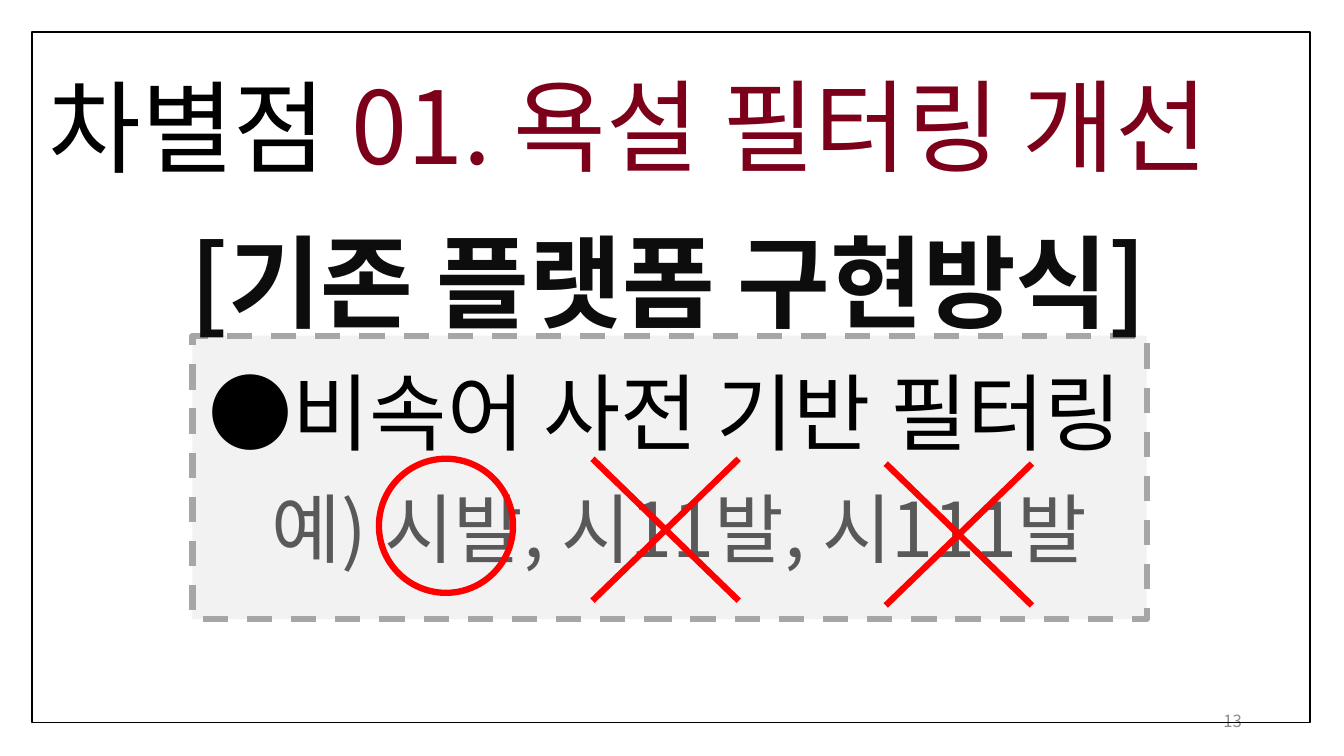
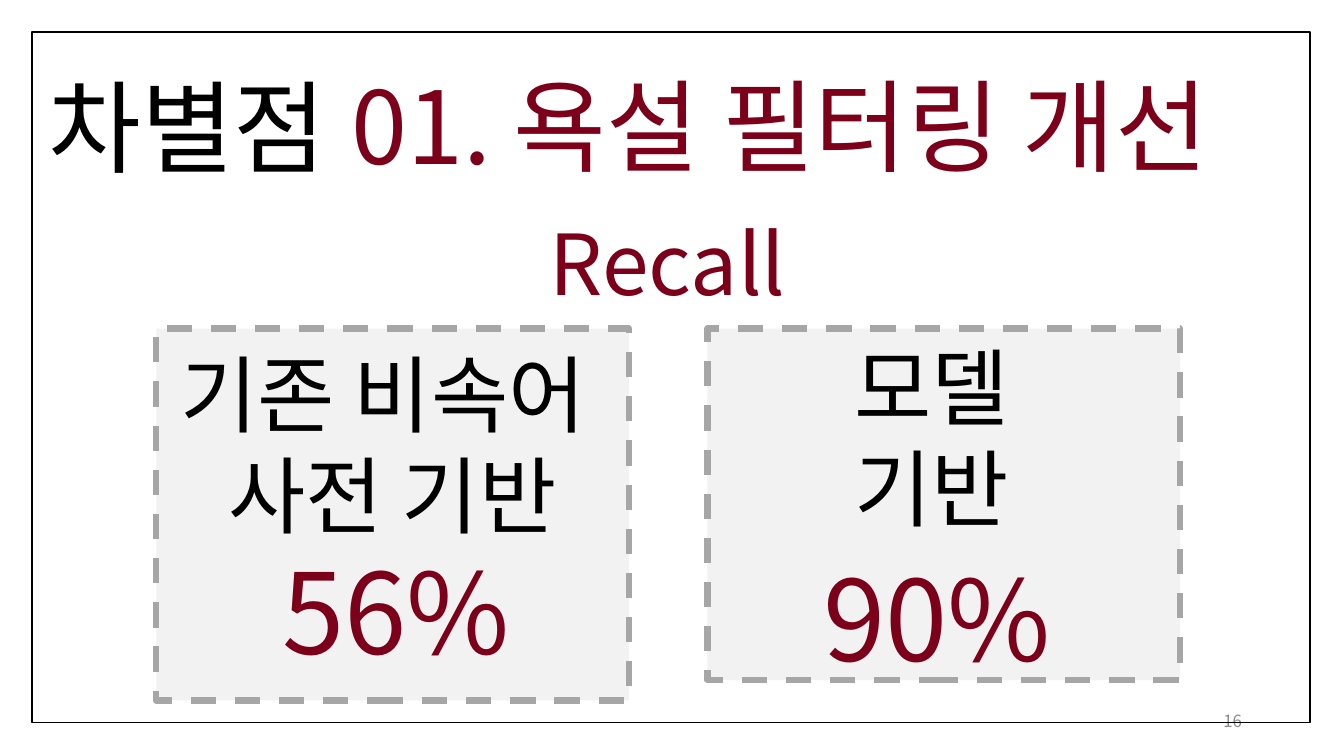
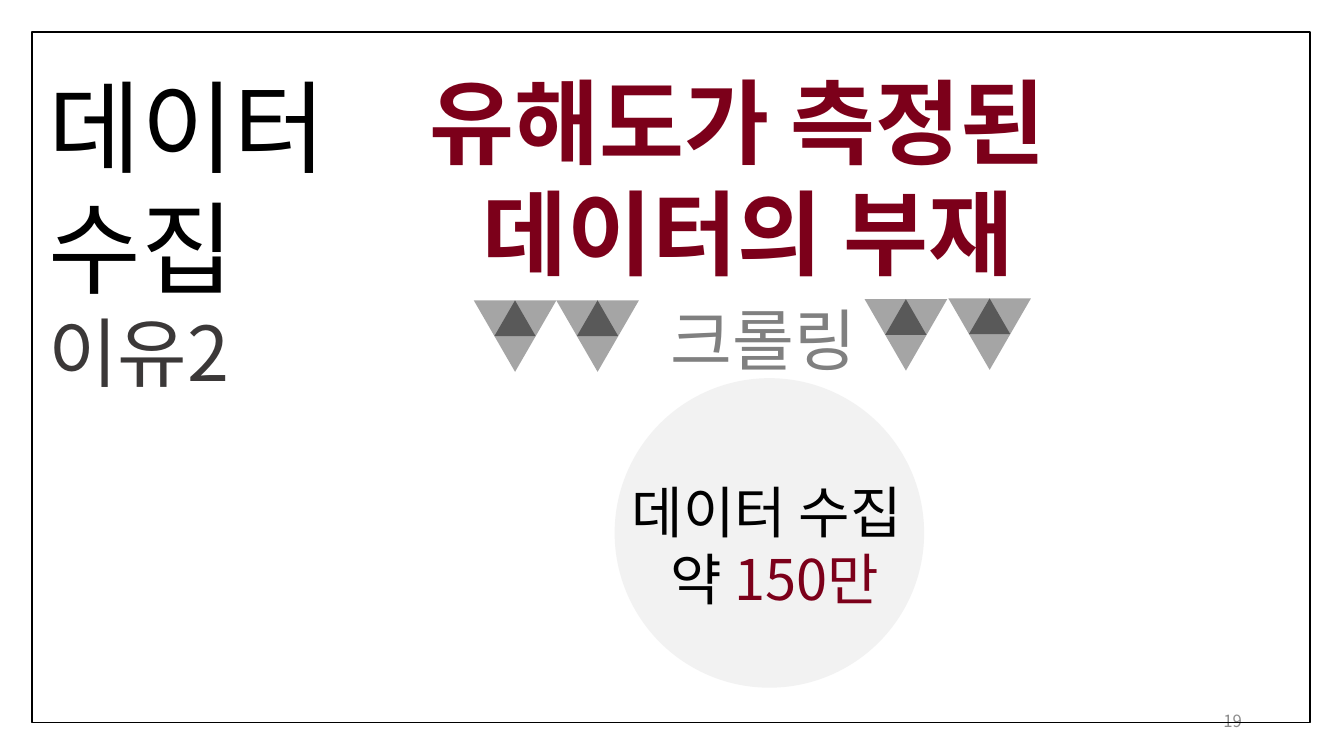
from lxml import etree
from pptx import Presentation
from pptx.dml.color import RGBColor
from pptx.enum.dml import MSO_LINE_DASH_STYLE as DASH
from pptx.enum.shapes import MSO_SHAPE as SHAPE
from pptx.enum.text import MSO_ANCHOR as ANCHOR, PP_ALIGN as ALIGN
from pptx.oxml.ns import qn
from pptx.util import Cm, Pt

FONT = "Noto Sans CJK KR"
COLORS = {
    "black": "000000",
    "ink": "0D0D0D",
    "wine": "7C001A",
    "charcoal": "3B3838",
    "dark": "595959",
    "grey": "808080",
    "number": "8C8C8C",
    "dash": "A6A6A6",
    "mark": "A5A5A5",
    "panel": "F2F2F2",
    "red": "FF0000",
}


def write(page, text, at, size=72, color="black", bold=False, align=ALIGN.LEFT,
          anchor=ANCHOR.TOP):
    box = page.shapes.add_textbox(*map(Cm, at))
    frame = box.text_frame
    frame.word_wrap = True
    frame.vertical_anchor = anchor
    for index, line in enumerate([text] if isinstance(text, str) else text):
        para = frame.paragraphs[0] if index == 0 else frame.add_paragraph()
        para.alignment = align
        spans = [(line, {})] if isinstance(line, str) else line
        para.line_spacing = Pt(1.2 * spans[0][1].get("size", size))
        for words, changes in spans:
            span = para.add_run()
            span.text = words
            span.font.size = Pt(changes.get("size", size))
            span.font.bold = bold
            span.font.color.rgb = RGBColor.from_string(COLORS[changes.get("color", color)])
            span.font.name = FONT
            etree.SubElement(span.font._element, qn("a:ea"), typeface=FONT)
    return box


def draw(page, kind, at, fill=None, line=None, width=4.5, dash=None):
    shape = page.shapes.add_shape(kind, *map(Cm, at))
    shape.shadow.inherit = False
    if fill:
        shape.fill.solid()
        shape.fill.fore_color.rgb = RGBColor.from_string(COLORS[fill])
    else:
        shape.fill.background()
    if line:
        shape.line.color.rgb = RGBColor.from_string(COLORS[line])
        shape.line.width = Pt(width)
        shape.line.dash_style = dash
    else:
        shape.line.fill.background()
    return shape


deck = Presentation()
deck.slide_width, deck.slide_height = Cm(33.87), Cm(19.05)
PANEL = {"fill": "panel", "line": "dash", "dash": DASH.DASH}

pages = []
for number in ("13", "16", "19"):
    page = deck.slides.add_slide(deck.slide_layouts[6])
    write(page, number, (23.93, 17.65, 7.62, 1.02), size=12, color="number",
          align=ALIGN.RIGHT, anchor=ANCHOR.MIDDLE)
    draw(page, SHAPE.RECTANGLE, (0.81, 0.81, 32.21, 17.4), line="black", width=1)
    pages.append(page)
method, recall, collection = pages

for page in (method, recall):
    write(page, "차별점", (0.97, 1.5, 8.97, 3.33))
    write(page, "01. 욕설 필터링 개선", (8.61, 1.47, 25.76, 3.33), color="wine")

draw(method, SHAPE.RECTANGLE, (4.85, 8.46, 24.05, 7.14), **PANEL)
write(method, "●비속어 사전 기반 필터링", (1.6, 8.97, 30.33, 2.82), size=60,
      align=ALIGN.CENTER)
write(method, "예) 시발, 시11발, 시111발", (1.96, 12.01, 30.33, 2.57), size=54,
      color="dark", align=ALIGN.CENTER)
write(method, "[기존 플랫폼 구현방식]", (1.68, 5.41, 30.33, 3.33), color="ink",
      bold=True, align=ALIGN.CENTER)
draw(method, SHAPE.FLOWCHART_CONNECTOR, (9.55, 11.56, 3.38, 3.38), line="red")
for left, top in ((13.23, 9.91), (20.62, 10.03)):
    cross = draw(method, SHAPE.MATH_MULTIPLY, (left, top, 7.09, 6.88), fill="red")
    cross.adjustments[0] = 0.023

write(recall, "Recall", (13.61, 5.21, 6.99, 2.82), size=60, color="wine")
results = (
    (3.94, 9.37, ["기존 비속어 ", "사전 기반"], (0.81, 8.51), "56%", (6.86, 13.54)),
    (17.83, 8.86, ["모델", "기반"], (14.4, 8.33), "90%", (20.5, 13.72)),
)
for left, height, label, label_at, score, score_at in results:
    draw(recall, SHAPE.RECTANGLE, (left, 8.28, 11.91, height), **PANEL)
    write(recall, label, (*label_at, 18.16, 5.56), size=60, align=ALIGN.CENTER)
    write(recall, score, (*score_at, 6.58, 3.68), size=80, color="wine")

write(collection, ["데이터", "수집", [("이유2", {"size": 54, "color": "charcoal"})]],
      (0.97, 1.5, 7.57, 8.97))
write(collection, ["유해도가 측정된 ", "데이터의 부재"], (5.66, 1.52, 26.39, 5.89),
      size=66, color="wine", bold=True, align=ALIGN.CENTER)
draw(collection, SHAPE.FLOWCHART_CONNECTOR, (15.49, 9.53, 7.8, 7.8), fill="panel")
amount = write(collection, [" 데이터 수집", [("약 ", {}), ("150만", {"color": "wine"})]],
               (15.04, 11.91, 8.26, 5.38), size=40, align=ALIGN.CENTER)
amount.text_frame.paragraphs[1]._p.get_or_add_pPr().set("marL", str(Cm(0.72)))
write(collection, "크롤링", (16.66, 7.39, 5.56, 2.31), size=48, color="grey")

MARK_WIDTH, MARK_HEIGHT = 2.08, 1.8
for left, top in ((11.94, 7.57), (14.02, 7.57), (21.79, 7.54), (23.9, 7.52)):
    mark = draw(collection, SHAPE.ISOSCELES_TRIANGLE,
                (left, top, MARK_WIDTH, MARK_HEIGHT), fill="mark")
    mark.rotation = 180
    draw(collection, SHAPE.ISOSCELES_TRIANGLE,
         (left + MARK_WIDTH / 4, top, MARK_WIDTH / 2, MARK_HEIGHT / 2), fill="dark")

deck.save("out.pptx")
